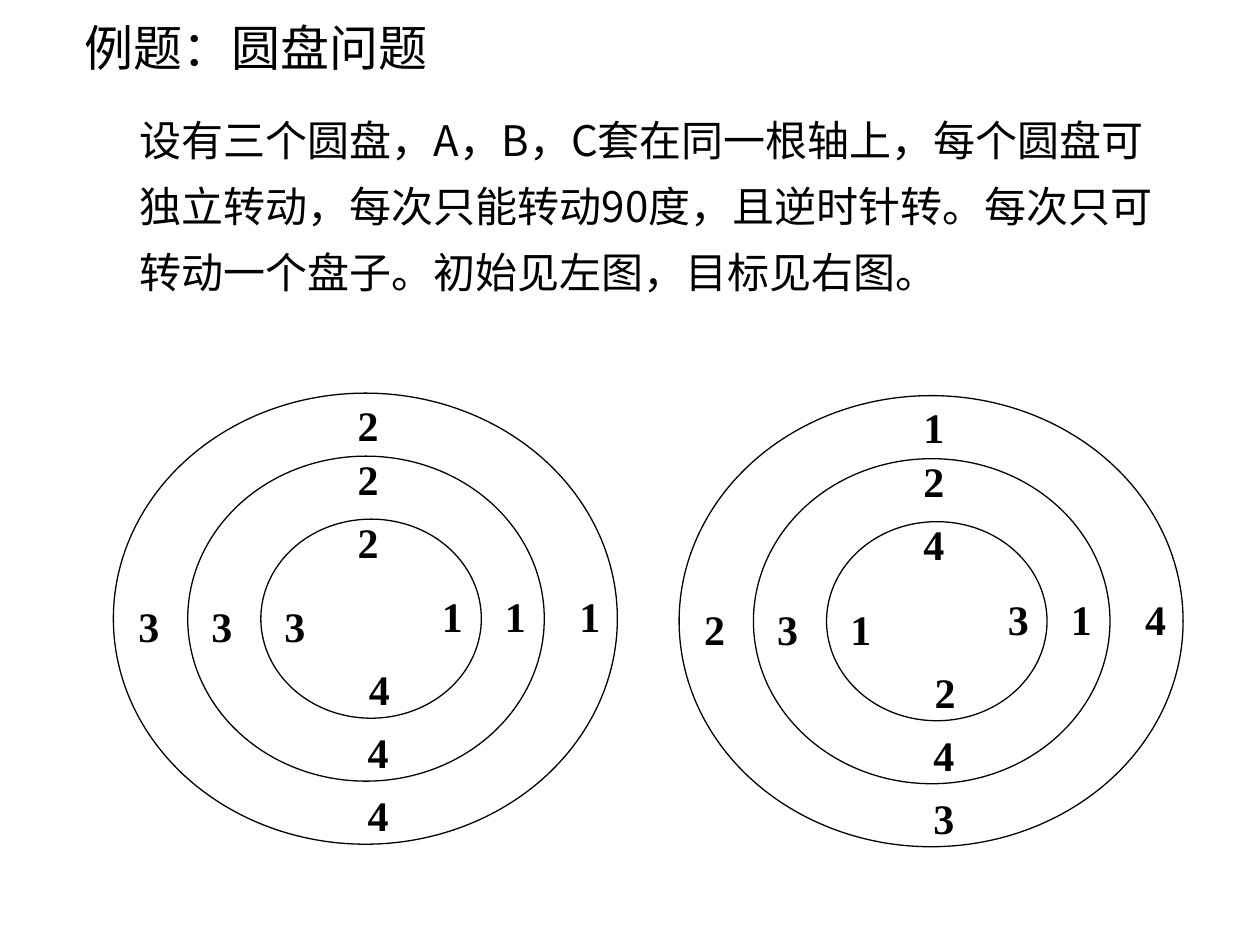
"""Build the slide that states the rotating discs problem."""
from dataclasses import dataclass

from lxml.etree import SubElement
from pptx import Presentation
from pptx.dml.color import RGBColor
from pptx.enum.shapes import MSO_SHAPE
from pptx.enum.text import MSO_ANCHOR, MSO_AUTO_SIZE, PP_ALIGN
from pptx.oxml.ns import qn
from pptx.slide import Slide
from pptx.util import Inches, Pt


@dataclass(frozen=True)
class Theme:
    ink: RGBColor = RGBColor(0, 0, 0)
    paper: RGBColor = RGBColor(255, 255, 255)
    text_font: str = "Noto Sans CJK SC"
    digit_font: str = "Times New Roman"
    title_size: int = 28
    body_size: int = 24
    digit_size: int = 24
    title_leading: float = 34
    body_leading: float = 37.5
    line_width: float = 0.75


@dataclass(frozen=True)
class Ring:
    inset: tuple[float, float]
    size: tuple[float, float]
    label_offsets: tuple[tuple[float, float], ...]


@dataclass(frozen=True)
class Disc:
    left: float
    top: float
    ring_digits: tuple[str, ...]


THEME = Theme()
RINGS = (
    Ring((0, 0), (4, 3.58), ((3.6, 1.52), (1.84, 0), (0.1, 1.6), (1.92, 3.1))),
    Ring((0.59, 0.5), (2.83, 2.58), ((3.01, 1.52), (1.84, 0.43), (0.68, 1.6), (1.92, 2.6))),
    Ring((1.17, 1), (1.75, 1.58), ((2.51, 1.52), (1.84, 0.93), (1.26, 1.6), (1.93, 2.1))),
)
DISCS = (
    Disc(0.9, 3.12, ("1234", "1234", "1234")),
    Disc(5.39, 3.14, ("4123", "1234", "3412")),
)
TITLE = "例题：圆盘问题"
BODY = (
    "设有三个圆盘，A，B，C套在同一根轴上，每个圆盘可独立转动，"
    "每次只能转动90度，且逆时针转。每次只可转动一个盘子。"
    "初始见左图，目标见右图。"
)


def fill_placeholder(shape, text: str, box: tuple[float, ...], size: int,
                     leading: float, margin: float = 0) -> None:
    """Place a placeholder and write one left-aligned paragraph in it."""
    shape.left, shape.top, shape.width, shape.height = map(Inches, box)
    frame = shape.text_frame
    frame.text = text
    frame.word_wrap = True
    frame.auto_size = MSO_AUTO_SIZE.NONE
    frame.vertical_anchor = MSO_ANCHOR.TOP
    paragraph = frame.paragraphs[0]
    paragraph.alignment = PP_ALIGN.LEFT
    paragraph.space_before = Pt(0)
    paragraph.line_spacing = Pt(leading)
    properties = paragraph._p.get_or_add_pPr()
    properties.set("marL", str(Inches(margin)))
    properties.set("indent", "0")
    SubElement(properties, qn("a:buNone"))
    paragraph.font.size = Pt(size)
    paragraph.font.color.rgb = THEME.ink
    paragraph.font.name = THEME.text_font
    east_asian = SubElement(properties.find(qn("a:defRPr")), qn("a:ea"))
    east_asian.set("typeface", THEME.text_font)


def draw_ring(slide: Slide, disc: Disc, ring: Ring) -> None:
    """Draw one outlined ellipse of a disc."""
    shape = slide.shapes.add_shape(
        MSO_SHAPE.OVAL, Inches(disc.left + ring.inset[0]),
        Inches(disc.top + ring.inset[1]), *map(Inches, ring.size))
    shape.shadow.inherit = False
    shape.fill.solid()
    shape.fill.fore_color.rgb = THEME.paper
    shape.line.color.rgb = THEME.ink
    shape.line.width = Pt(THEME.line_width)


def draw_digit(slide: Slide, digit: str, left: float, top: float) -> None:
    """Write one bold digit."""
    shape = slide.shapes.add_textbox(
        Inches(left), Inches(top), Inches(0.36), Inches(0.5))
    frame = shape.text_frame
    frame.text = digit
    frame.word_wrap = False
    frame.auto_size = MSO_AUTO_SIZE.SHAPE_TO_FIT_TEXT
    font = frame.paragraphs[0].font
    font.name = THEME.digit_font
    font.size = Pt(THEME.digit_size)
    font.bold = True
    font.color.rgb = THEME.ink


def draw_disc(slide: Slide, disc: Disc) -> None:
    """Draw the rings of a disc, then their digits."""
    for ring in RINGS:
        draw_ring(slide, disc, ring)
    for ring, digits in zip(RINGS, disc.ring_digits):
        for digit, (across, down) in zip(digits, ring.label_offsets):
            draw_digit(slide, digit, disc.left + across, disc.top + down)


def main() -> None:
    """Build and save the presentation."""
    presentation = Presentation()
    presentation.slide_width = Inches(10)
    presentation.slide_height = Inches(7.5)
    slide = presentation.slides.add_slide(presentation.slide_layouts[1])
    fill_placeholder(slide.shapes.title, TITLE, (0.57, 0.08, 8.92, 0.6),
                     THEME.title_size, THEME.title_leading)
    fill_placeholder(slide.placeholders[1], BODY, (0.51, 0.74, 8.98, 1.65),
                     THEME.body_size, THEME.body_leading, margin=0.5)
    for disc in DISCS:
        draw_disc(slide, disc)
    presentation.save("out.pptx")


if __name__ == "__main__":
    main()
